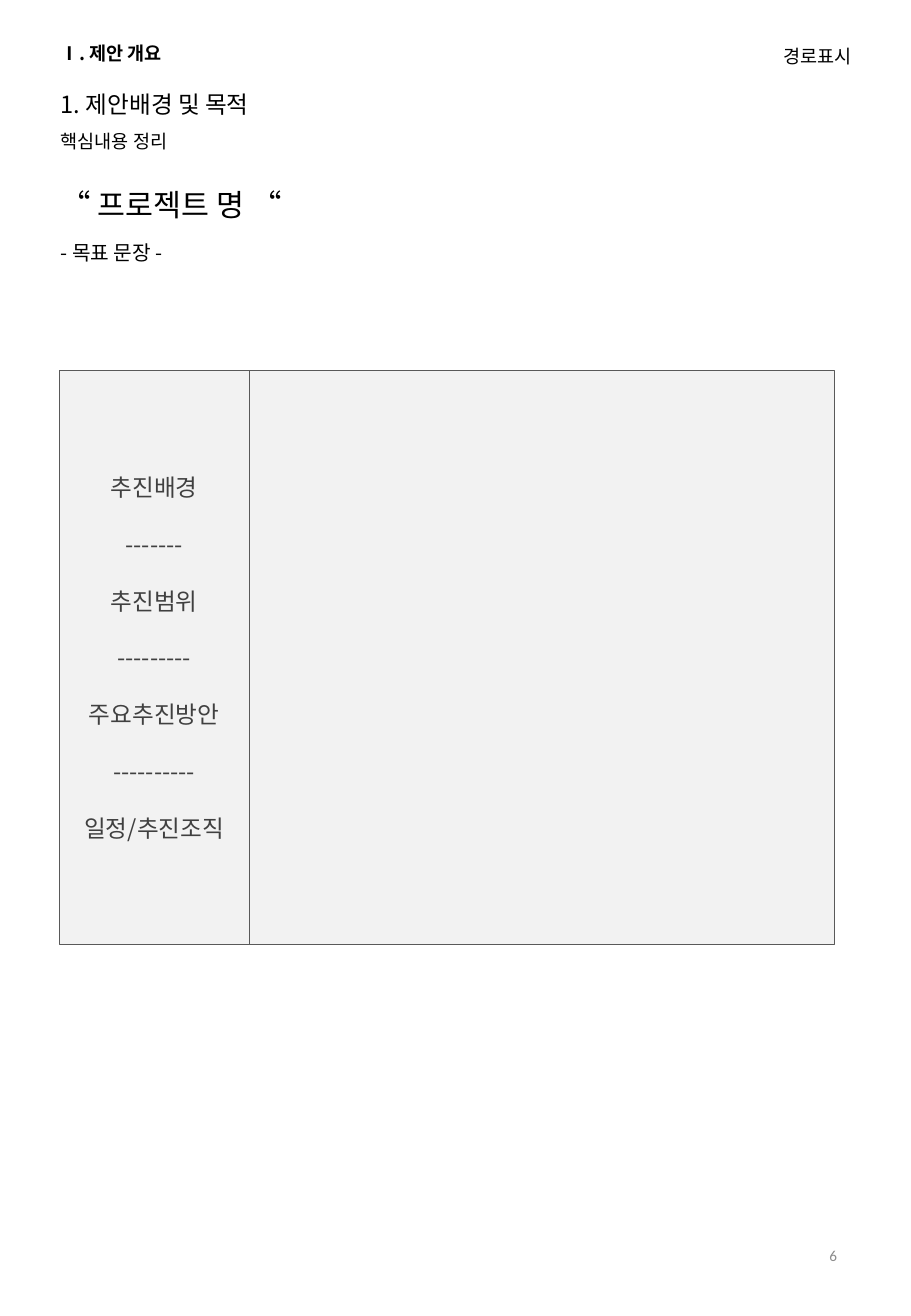
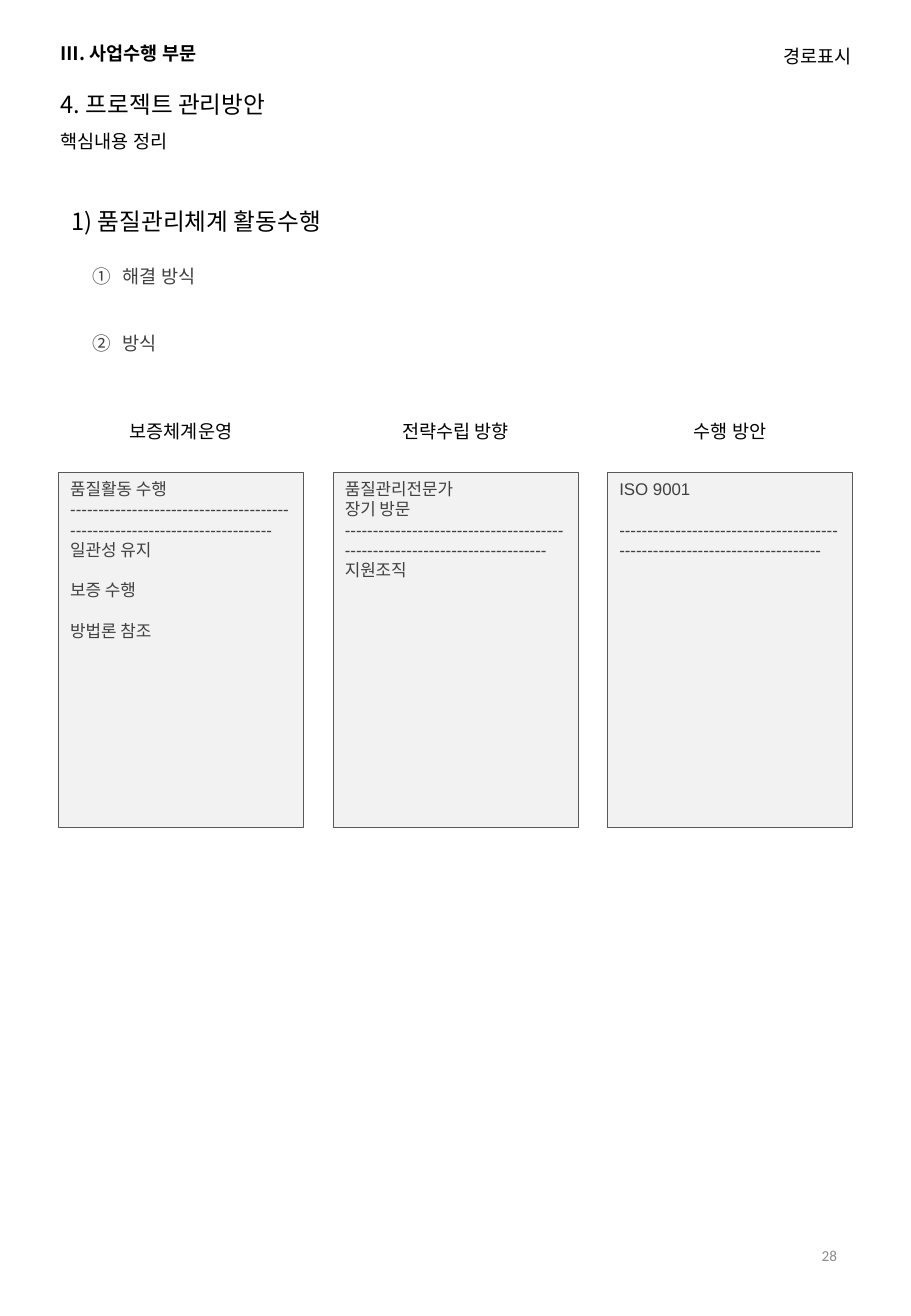
from dataclasses import dataclass

from lxml import etree
from pptx import Presentation
from pptx.dml.color import RGBColor
from pptx.enum.shapes import MSO_SHAPE
from pptx.enum.text import MSO_ANCHOR, MSO_AUTO_SIZE, PP_ALIGN
from pptx.oxml.ns import qn
from pptx.util import Inches, Pt

RECT = MSO_SHAPE.RECTANGLE
TOP, MID = MSO_ANCHOR.TOP, MSO_ANCHOR.MIDDLE
LEFT, MID_X, RIGHT = PP_ALIGN.LEFT, PP_ALIGN.CENTER, PP_ALIGN.RIGHT
FIXED = MSO_AUTO_SIZE.NONE


@dataclass(frozen=True)
class Theme:
    ink: str = "000000"
    soft: str = "404040"
    pale: str = "8C8C8C"
    fill: str = "F2F2F2"
    edge: str = "595959"
    kor: str = "Noto Sans CJK KR"
    head: str = "Noto Sans CJK JP"
    sans: str = "Arial"
    num: str = "Calibri"
    hero: int = 18
    title: int = 14
    goal: int = 12
    body: int = 11
    small: int = 10
    page: int = 9
    edge_w: float = 0.25
    lead: float = 1.2


class Deck:
    """Hold the theme and the current slide, and draw each kind of element."""

    def __init__(self, theme):
        self.theme = theme
        self.prs = Presentation()
        self.prs.slide_width = Inches(7.5)
        self.prs.slide_height = Inches(10.83)
        self.slide = None

    def start(self, layout, part, title, page):
        t = self.theme
        self.slide = self.prs.slides.add_slide(self.prs.slide_layouts[layout])
        head = self.slide.shapes.title
        self.place(head, (0.4, 0.69, 6.63, 0.34))
        self.fill_in(head, [title], t.title)
        self.text((0.4, 0.3, 3.42, 0.29), part, t.body, font=t.head, bold=True)
        self.text((5.45, 0.32, 1.66, 0.29), "경로표시", t.body, align=RIGHT)
        self.text((0.4, 1.02, 6.63, 0.29), "핵심내용 정리", t.body)
        self.text((5.3, 10.04, 1.69, 0.58), page, t.page, align=RIGHT,
                  anchor=MID, font=t.num, color=t.pale)

    def place(self, shape, box):
        shape.left, shape.top, shape.width, shape.height = map(Inches, box)

    def fill_in(self, shape, lines, size, align=LEFT, anchor=TOP, font=None,
                color=None, bold=False, gaps=None, mark=None):
        t = self.theme
        frame = shape.text_frame
        frame.word_wrap = True
        frame.auto_size = FIXED
        frame.vertical_anchor = anchor
        for i, line in enumerate(lines):
            para = frame.add_paragraph() if i else frame.paragraphs[0]
            if mark:
                self.mark(para, mark)
            para.alignment = align
            para.line_spacing = Pt(size * t.lead)
            para.space_before = Pt(size * t.lead * gaps[i] if gaps else 0)
            para.space_after = Pt(0)
            self.run(para, line, size, font or t.kor, color or t.ink, bold)

    def run(self, para, words, size, font, color, bold):
        run = para.add_run()
        run.text = words
        run.font.size = Pt(size)
        run.font.bold = bold
        run.font.name = font
        run.font.color.rgb = RGBColor.from_string(color)
        east = self.theme.head if font == self.theme.head else self.theme.kor
        etree.SubElement(run._r.get_or_add_rPr(), qn("a:ea"), typeface=east)

    def mark(self, para, kind):
        props = para._p.get_or_add_pPr()
        props.set("marL", str(Inches(0.25)))
        props.set("indent", str(Inches(-0.25)))
        etree.SubElement(props, qn("a:buFont"), typeface=self.theme.sans)
        etree.SubElement(props, qn("a:buAutoNum"), type=kind)

    def text(self, box, words, size, **style):
        shape = self.slide.shapes.add_textbox(*map(Inches, box))
        self.fill_in(shape, [words], size, **style)

    def list(self, box, lines, gaps):
        t = self.theme
        shape = self.slide.placeholders[1]
        self.place(shape, box)
        self.fill_in(shape, lines, t.body, font=t.sans, color=t.soft,
                     gaps=gaps, mark="circleNumDbPlain")

    def panel(self, box, lines, size, **style):
        t = self.theme
        shape = self.slide.shapes.add_shape(RECT, *map(Inches, box))
        shape.shadow.inherit = False
        shape.fill.solid()
        shape.fill.fore_color.rgb = RGBColor.from_string(t.fill)
        shape.line.color.rgb = RGBColor.from_string(t.edge)
        shape.line.width = Pt(t.edge_w)
        self.fill_in(shape, lines, size, color=t.soft, **style)


def goals(deck):
    t = deck.theme
    deck.start(5, "Ⅰ. 제안 개요", "1. 제안배경 및 목적", "6")
    deck.text((0.4, 1.48, 6.48, 0.4), "“ 프로젝트 명 “", t.hero)
    deck.text((0.4, 1.93, 3.69, 0.3), "- 목표 문장 -", t.goal)
    steps = ["추진배경", "-" * 7, "추진범위", "-" * 9,
             "주요추진방안", "-" * 10, "일정/추진조직"]
    deck.panel((0.49, 3.05, 1.56, 4.72), steps, t.title, align=MID_X,
               anchor=MID, gaps=[0] + [1] * (len(steps) - 1))
    deck.panel((2.05, 3.05, 4.82, 4.72), [], t.title)


def manage(deck):
    t = deck.theme
    deck.start(1, "Ⅲ. 사업수행 부문", "4. 프로젝트 관리방안", "28")
    deck.text((0.49, 1.65, 6.34, 0.34), "1) 품질관리체계 활동수행", t.title)
    deck.list((0.66, 2.13, 5.81, 1.01), ["해결 방식", "방식"], [0, 2])
    rule = "-" * 75
    cols = [
        ("보증체계운영",
         ["품질활동 수행", rule, "일관성 유지", "보증 수행", "방법론 참조"],
         [0, 0, 0, 1, 1]),
        ("전략수립 방향",
         ["품질관리전문가", "장기 방문", rule, "지원조직"], [0, 0, 0, 0]),
        ("수행 방안", ["ISO 9001", rule], [0, 1]),
    ]
    for i, (name, lines, gaps) in enumerate(cols):
        x = 0.48 + 2.26 * i
        deck.text((x + 0.35, 3.41, 1.32, 0.29), name, t.body, align=MID_X)
        deck.panel((x, 3.89, 2.02, 2.92), lines, t.small, font=t.sans,
                   gaps=gaps)


def main():
    deck = Deck(Theme())
    goals(deck)
    manage(deck)
    deck.prs.save("out.pptx")


if __name__ == "__main__":
    main()
